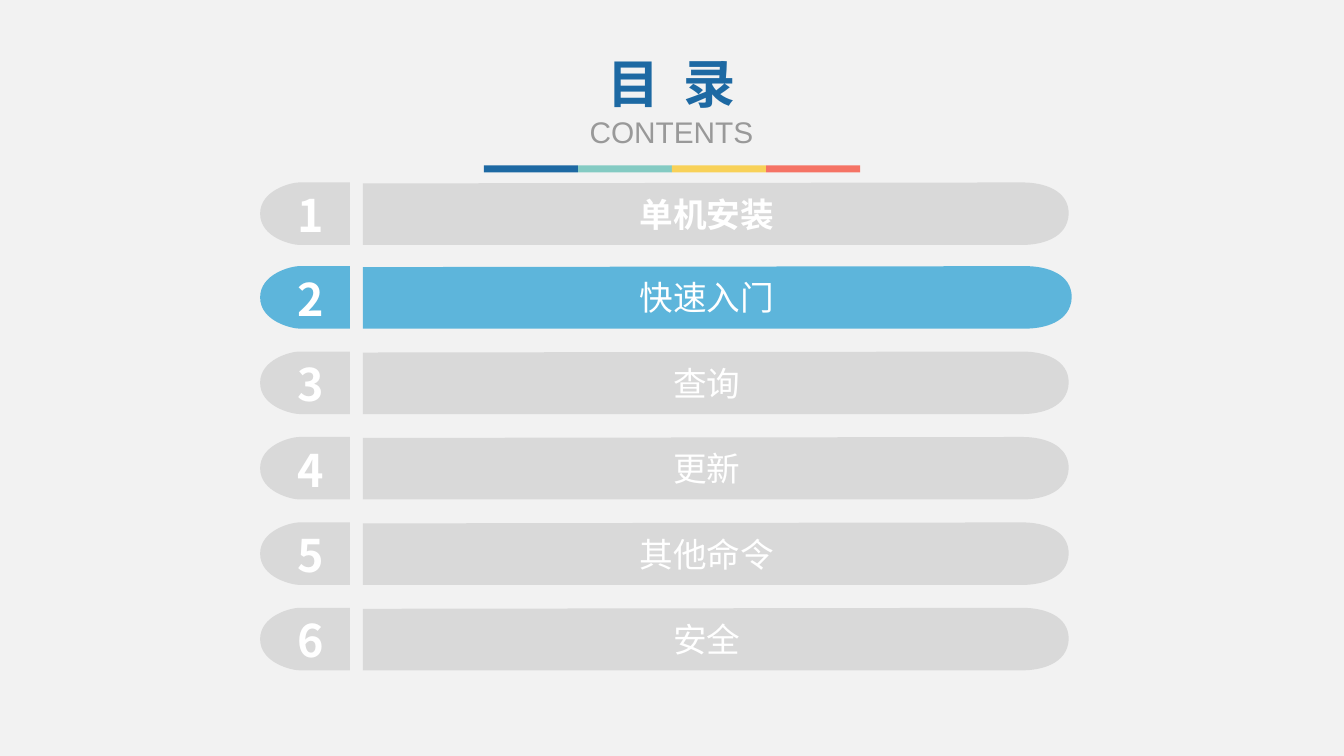
import pptx
import pptx.util
import pptx.dml.color
import pptx.enum.text
import pptx.enum.shapes
import pptx.oxml.ns
from dataclasses import dataclass
from lxml import etree

Inches = pptx.util.Inches
Pt = pptx.util.Pt
Anchor = pptx.enum.text.MSO_ANCHOR
qn = pptx.oxml.ns.qn


@dataclass(frozen=True)
class Theme:
    """Colours, fonts and type sizes of the deck."""
    back: str = "F2F2F2"
    blue: str = "1D69A3"
    grey: str = "999999"
    white: str = "FFFFFF"
    idle: str = "D9D9D9"
    live: str = "5DB5DB"
    band: tuple = ("1D69A3", "84CBC3", "F8D158", "F57365")
    cjk: str = "Noto Sans CJK SC"
    head: str = "Arial Narrow"
    sub: str = "Arial"
    big: float = 37.3
    mid: float = 21.3
    num: float = 32
    item: float = 24


THEME = Theme()
ITEMS = ("单机安装", "快速入门", "查询", "更新", "其他命令", "安全")
LIVE = 1


def rgb(code):
    """Turn a hex code into a colour."""
    return pptx.dml.color.RGBColor.from_string(code)


def paint(shape, code):
    """Give a shape a flat fill without line or shadow."""
    shape.shadow.inherit = False
    shape.fill.solid()
    shape.fill.fore_color.rgb = rgb(code)
    shape.line.fill.background()


def style(para, font, size, code, bold):
    """Centre a paragraph and format its runs."""
    para.alignment = pptx.enum.text.PP_ALIGN.CENTER
    para.line_spacing = 1.0
    para.space_before = Pt(0)
    for run in para.runs:
        run.font.name = font
        run.font.size = Pt(size)
        run.font.bold = bold
        run.font.color.rgb = rgb(code)
        east = etree.SubElement(run.font._element, qn("a:ea"))
        east.set("typeface", THEME.cjk)


def outline(slide, left, top, parts, code):
    """Draw a closed shape; a part of three points is a Bezier curve."""
    first, *rest = [(Inches(left + x), Inches(top + y))
                    for part in parts for x, y in part]
    pen = slide.shapes.build_freeform(*first)
    pen.add_line_segments(rest, close=True)
    shape = pen.convert_to_shape()
    paint(shape, code)
    lines = iter(list(shape._element.iter(qn("a:lnTo"))))
    for part in parts[1:]:
        group = [next(lines) for _ in part]
        if len(group) == 3:
            bend = etree.Element(qn("a:cubicBezTo"))
            group[0].addprevious(bend)
            for line in group:
                bend.append(line[0])
                line.getparent().remove(line)


def tab(slide, left, top, wide, high, code):
    """Draw the number tab, rounded on its left."""
    mid, bend = high / 2, 0.39
    parts = [[(wide, 0)], [(wide, high)], [(bend, high)],
             [(0.32, high), (0, high - 0.07), (0, mid)],
             [(0, 0.08), (0.3, 0), (bend, 0)]]
    outline(slide, left, top, parts, code)


def bar(slide, left, top, wide, high, code):
    """Draw the label bar, rounded on its right."""
    mid, bend = high / 2, wide - 0.46
    parts = [[(0, 0.01)], [(0, high)], [(bend, high)],
             [(wide - 0.28, high), (wide - 0.01, high - 0.06), (wide, mid)],
             [(wide, 0.08), (wide - 0.24, 0), (bend, 0)]]
    outline(slide, left, top, parts, code)


def label(slide, left, top, wide, high, text, size, bold, wrap):
    """Add white text centred in a box."""
    box = slide.shapes.add_textbox(*map(Inches, (left, top, wide, high)))
    frame = box.text_frame
    frame.word_wrap = wrap
    frame.vertical_anchor = Anchor.MIDDLE
    frame.text = text
    style(frame.paragraphs[0], THEME.cjk, size, THEME.white, bold)


def row(slide, left, top, wide, high, index):
    """Build one entry of the list."""
    code = THEME.live if index == LIVE else THEME.idle
    start = 1.02
    bar(slide, left + start, top, wide - start, high, code)
    tab(slide, left, top, 0.89, high, code)
    label(slide, left + 0.26, top, 0.48, 0.64, str(index + 1),
          THEME.num, True, False)
    label(slide, left + start + 0.06, top + 0.06, 6.7, 0.5, ITEMS[index],
          THEME.item, index == 0, True)


def agenda(slide, left, top, wide, high):
    """Stack the entries in the given box, the first a little closer."""
    deep, lead = 0.62, 0.83
    pitch = (high - deep - lead) / (len(ITEMS) - 2)
    for index in range(len(ITEMS)):
        down = lead + (index - 1) * pitch if index else 0
        extra = 0.03 if index == LIVE else 0
        row(slide, left, top + down, wide + extra, deep, index)


def stripe(slide, left, top, wide, high):
    """Draw the coloured rule under the heading."""
    part = wide / len(THEME.band)
    for index, code in enumerate(THEME.band):
        block = slide.shapes.add_shape(
            pptx.enum.shapes.MSO_SHAPE.RECTANGLE,
            *map(Inches, (left + index * part, top, part, high)))
        paint(block, code)


def heading(slide, left, top, wide, high):
    """Fill the title placeholder with its two lines."""
    title = slide.shapes.title
    title.left, title.top, title.width, title.height = map(
        Inches, (left, top, wide, high))
    frame = title.text_frame
    frame.text = "目 录\nCONTENTS"
    frame.word_wrap = True
    frame.auto_size = pptx.enum.text.MSO_AUTO_SIZE.NONE
    frame.vertical_anchor = Anchor.TOP
    name, sub = frame.paragraphs
    style(name, THEME.head, THEME.big, THEME.blue, True)
    style(sub, THEME.sub, THEME.mid, THEME.grey, False)
    name.runs[0].font._element.set("spc", "430")


def contents(deck):
    """Build the contents slide."""
    slide = deck.slides.add_slide(deck.slide_layouts[5])
    slide.background.fill.solid()
    slide.background.fill.fore_color.rgb = rgb(THEME.back)
    stripe(slide, 4.8, 1.64, 3.73, 0.07)
    heading(slide, 5.58, 0.46, 2.16, 1.09)
    agenda(slide, 2.58, 1.81, 8.02, 4.84)


def main():
    """Make the deck and save it."""
    deck = pptx.Presentation()
    deck.slide_width = Inches(13.33)
    deck.slide_height = Inches(7.5)
    contents(deck)
    deck.save("out.pptx")


if __name__ == "__main__":
    main()
